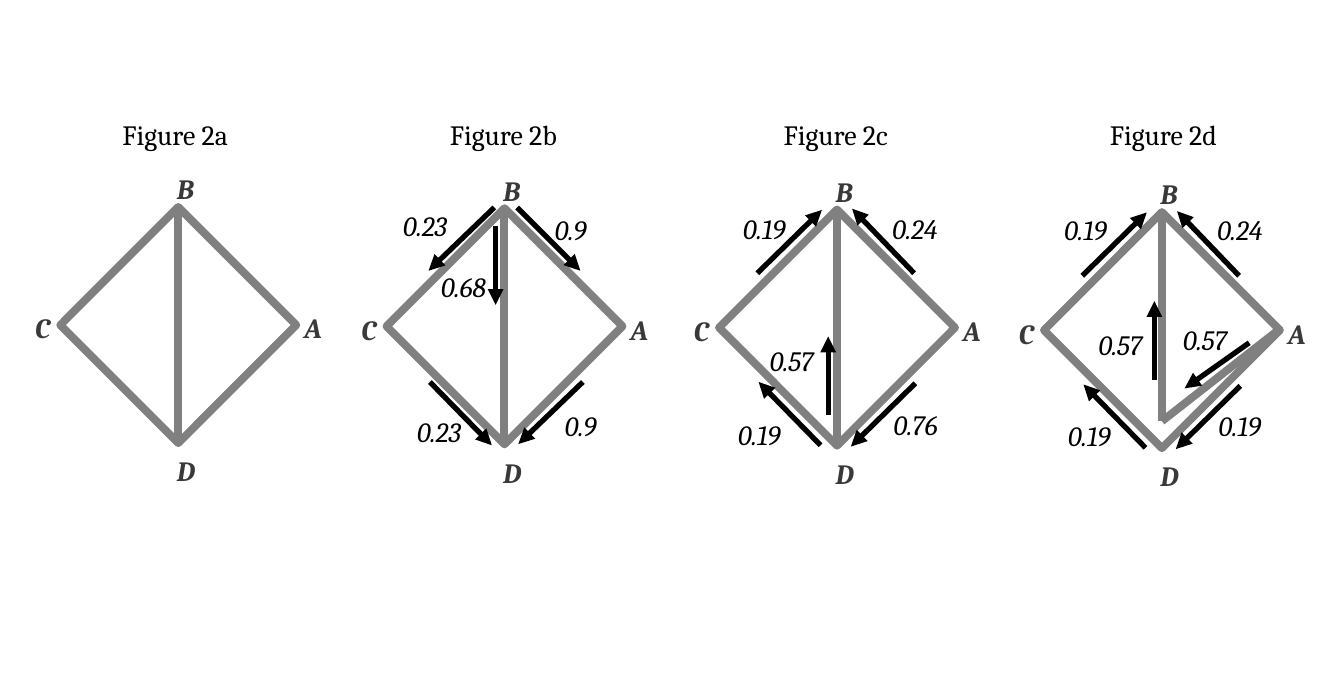
import pptx
import pptx.util
import pptx.dml.color
import pptx.enum.shapes
import pptx.enum.text
import pptx.oxml.xmlchemy

RGBColor = pptx.dml.color.RGBColor
GREY = RGBColor(0x80, 0x80, 0x80)
DARK = RGBColor(0x3B, 0x38, 0x38)
BLACK = RGBColor(0, 0, 0)

# One grid cell is a tenth of an inch; all lengths below are in cells
CELL = pptx.util.Inches(0.1)
COLS, ROWS = 106.3, 55.1
SIDE, HALF = 13.2, 9.3      # diamond side and half diagonal
ROW_H, CAPTION_TOP = 3.7, 8.8

CAPTION = {"size": pptx.util.Pt(15.9), "name": "Cambria"}
VALUE = {**CAPTION, "italic": True}
VERTEX = {**VALUE, "bold": True}

prs = pptx.Presentation()
prs.slide_width, prs.slide_height = int(COLS * CELL), int(ROWS * CELL)
s = prs.slides.add_slide(prs.slide_layouts[6])


def add_text(text, x, y, w, fmt, color=BLACK, wrap=False):
    sp = s.shapes.add_textbox(*(int(v * CELL) for v in (x, y, w, ROW_H)))
    tf = sp.text_frame
    tf.word_wrap = wrap
    tf.auto_size = pptx.enum.text.MSO_AUTO_SIZE.SHAPE_TO_FIT_TEXT
    r = tf.paragraphs[0].add_run()
    r.text = text
    for name, value in fmt.items():
        setattr(r.font, name, value)
    r.font.color.rgb = color


def add_line(cx, cy, ends, color, width, arrow=False):
    x1, y1, x2, y2 = ends
    points = (cx + x1, cy + y1, cx + x2, cy + y2)
    sp = s.shapes.add_connector(pptx.enum.shapes.MSO_CONNECTOR.STRAIGHT,
                                *(int(v * CELL) for v in points))
    sp.line.color.rgb = color
    sp.line.width = pptx.util.Pt(width)
    spPr = sp._element.spPr
    if arrow:
        tail = pptx.oxml.xmlchemy.OxmlElement("a:tailEnd")
        tail.set("type", "triangle")
        spPr.get_or_add_ln().append(tail)
    spPr.append(pptx.oxml.xmlchemy.OxmlElement("a:effectLst"))


# Vertex labels: letter, left and top from the centre, width, wrap
VERTICES = [("A", 9.0, -1.6, 3.6, False), ("B", -1.1, -12.6, 2.2, True),
            ("C", -12.3, -1.6, 3.5, False), ("D", -1.1, 9.7, 2.2, True)]

# Arrows from the centre: x1, y1, x2, y2
SPLIT = [(-0.8, -9.4, -6, -4.4), (1, -9.4, 6, -4.4), (-0.7, -7.9, -0.7, -1.7),
         (6.2, 4.4, 1.1, 9.3), (-5.9, 4.4, -1, 9.4)]
RETURN = [(6.2, 4.4, 1.1, 9.4), (-1.3, 9.3, -6.2, 4.3),
          (-6.3, -4.3, -1.2, -9.3), (6.1, -4.3, 1.2, -9.4)]

# Panels: caption, its left, centre, foot of the spine, arrows, values
PANELS = [
    ("Figure 2a", 8.7, 14.1, 25.7, HALF, [], []),
    ("Figure 2b", 34.6, 39.9, 25.8, HALF, SPLIT,
     [("0.68", -6, -5), ("0.9", 3, -9.5), ("0.23", -7.9, 6.5),
      ("0.9", 3.8, 6), ("0.23", -9, -9.8)]),
    ("Figure 2c", 61, 66.2, 25.9, HALF,
     RETURN + [(-0.7, 6.9, -0.7, 0.7)],
     [("0.57", -6.3, 0.8), ("0.24", 3.4, -9.7), ("0.19", -8.8, 6.6),
      ("0.76", 3.5, 5.8), ("0.19", -8.4, -9.7)]),
    ("Figure 2d", 86.8, 91.9, 26.1, 7.2,
     RETURN + [(-0.6, 3.9, -0.6, -2.3), (6.9, 1, 1.8, 4.6)],
     [("0.57", -6, -0.7), ("0.24", 3.4, -9.8), ("0.19", -8.4, 6.5),
      ("0.19", 3.5, 5.7), ("0.19", -8.7, -9.8), ("0.57", 0.7, -1.1)]),
]

for caption, left, cx, cy, foot, arrows, values in PANELS:
    # Diamond and spine
    box = (cx - SIDE / 2, cy - SIDE / 2, SIDE, SIDE)
    sp = s.shapes.add_shape(pptx.enum.shapes.MSO_SHAPE.RECTANGLE,
                            *(int(v * CELL) for v in box))
    sp.rotation = 45
    sp.shadow.inherit = False
    sp.fill.background()
    sp.line.color.rgb = GREY
    sp.line.width = pptx.util.Pt(4.5)
    add_line(cx, cy, (0, -HALF, 0, foot), GREY, 4.5)
    if foot < HALF:  # the spine is detached from D and tied to A
        add_line(cx, cy, (0, foot, 9.2, 0), GREY, 4.5)

    # Flow arrows
    for ends in arrows:
        add_line(cx, cy, ends, BLACK, 3, arrow=True)

    # Labels
    for letter, x, y, w, wrap in VERTICES:
        add_text(letter, cx + x, cy + y, w, VERTEX, DARK, wrap)
    for value, x, y in values:
        add_text(value, cx + x, cy + y, 1.5 + 1.1 * len(value), VALUE)
    add_text(caption, left, CAPTION_TOP, 11.3, CAPTION)

prs.save("out.pptx")
